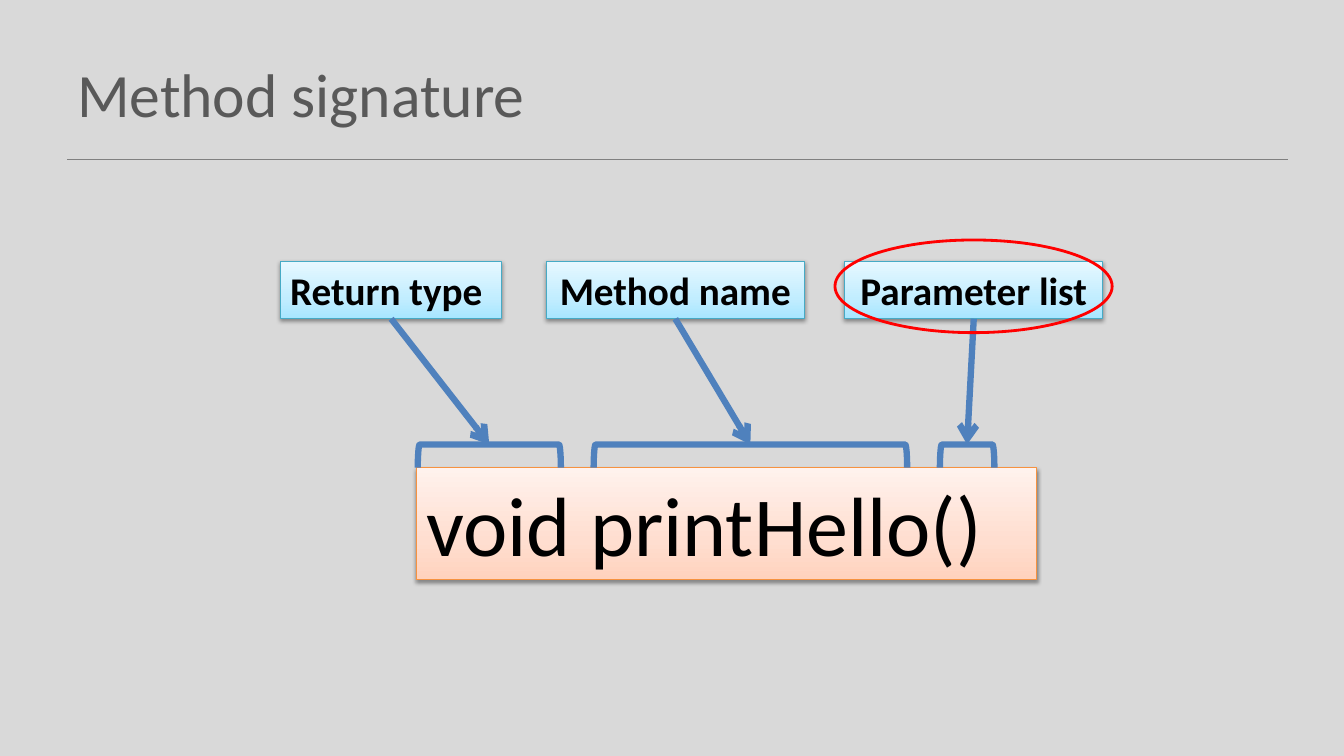
"""Build the slide that names the parts of a method signature."""
from copy import deepcopy

from pptx import Presentation
from pptx import util as u
from pptx.dml.color import RGBColor
from pptx.enum import shapes, text
from pptx.oxml import parse_xml
from pptx.oxml.ns import nsdecls, qn

FONT = "Calibri"
BLUE = "4F81BD"
CYANS = ("A7E6FF", "C1EDFF", "E7F8FF")
PEACHES = ("FFD2BD", "FFDED0", "FFF2ED")
LABELS = [
    ("Return type", 200.2, 158.4, text.PP_ALIGN.LEFT),
    ("Method name", 390.2, 184.3, text.PP_ALIGN.CENTER),
    ("Parameter list", 603.4, 184.3, text.PP_ALIGN.CENTER),
]
BRACKETS = [(349.5, 102.2), (536, 223.9), (690.8, 38.9)]


def color(value):
    """Turn a hex string into a colour."""
    return RGBColor.from_string(value)


def set_line(item, value, width):
    """Set the colour and width of an outline."""
    item.line.color.rgb = color(value)
    item.line.width = u.Pt(width)


def add_text(sp, words, size, value, bold=False, align=text.PP_ALIGN.LEFT,
             anchor=text.MSO_ANCHOR.TOP):
    """Write one run into a shape."""
    tf = sp.text_frame
    tf.word_wrap = True
    tf.vertical_anchor = anchor
    p = tf.paragraphs[0]
    p.alignment = align
    r = p.add_run()
    r.text = words
    r.font.name = FONT
    r.font.size = u.Pt(size)
    r.font.bold = bold
    r.font.color.rgb = color(value)


def add_shape(s, kind, x, y, w, h, line, width):
    """Add an unfilled, unshadowed shape with an outline."""
    sp = s.shapes.add_shape(kind, u.Pt(x), u.Pt(y), u.Pt(w), u.Pt(h))
    sp.shadow.inherit = False
    sp.fill.background()
    set_line(sp, line, width)
    return sp


def add_line(s, x1, y1, x2, y2, value, width):
    """Add a straight connector without a shadow."""
    line = s.shapes.add_connector(
        shapes.MSO_CONNECTOR.STRAIGHT, u.Pt(x1), u.Pt(y1), u.Pt(x2), u.Pt(y2))
    set_line(line, value, width)
    line._element.spPr.append(parse_xml(f'<a:effectLst {nsdecls("a")}/>'))
    return line


def add_panel(s, x, y, w, h, tones, line):
    """Add a shadowed rectangle that shades from bottom to top."""
    sp = add_shape(s, shapes.MSO_SHAPE.RECTANGLE, x, y, w, h, line, 0.75)
    sp.fill.gradient()
    sp.fill.gradient_angle = 90
    spPr = sp._element.spPr
    stops = spPr.find(qn("a:gradFill")).find(qn("a:gsLst"))
    stops.append(deepcopy(stops[0]))
    for stop, tone, position in zip(sp.fill.gradient_stops, tones, (0, 0.35, 1)):
        stop.color.rgb = color(tone)
        stop.position = position
    spPr.find(qn("a:effectLst")).append(parse_xml(
        f'<a:outerShdw {nsdecls("a")} blurRad="{u.Pt(3.1)}" dist="{u.Pt(1.6)}" '
        'dir="5400000" rotWithShape="0"><a:srgbClr val="000000">'
        '<a:alpha val="38000"/></a:srgbClr></a:outerShdw>'))
    return sp


def add_bracket(s, center, y, w, h):
    """Add a bracket that opens downwards, centred across the given point."""
    sp = add_shape(s, shapes.MSO_SHAPE.LEFT_BRACKET, center - h / 2,
                   y + h / 2 - w / 2, h, w, BLUE, 4.5)
    sp.rotation = 90


def add_arrow(s, label, x, y):
    """Point from the bottom of a label to a place."""
    arrow = add_line(s, x, y, x, y, BLUE, 4.5)
    arrow.begin_connect(label, 2)
    arrow.line._get_or_add_ln().append(
        parse_xml(f'<a:tailEnd {nsdecls("a")} type="arrow"/>'))


def add_title(s, x, y, w, h):
    """Place the heading and the rule under it."""
    add_line(s, x, y + h + 2.2, x + 872, y + h + 2.2, "808080", 1)
    sp = s.shapes.add_textbox(u.Pt(x), u.Pt(y), u.Pt(w), u.Pt(h))
    add_text(sp, "Method signature", 44, "595959",
             anchor=text.MSO_ANCHOR.MIDDLE)


def add_signature(s, x, y, w, h):
    """Place the signature with its brackets, labels and arrows."""
    sp = add_panel(s, x, y, w, h, PEACHES, "F69240")
    add_text(sp, "void printHello()", 60, "000000")
    top = y - 16.6
    for (words, left, width, align), (center, span) in zip(LABELS, BRACKETS):
        label = add_panel(s, left, y - 147.6, width, 41.2, CYANS, "46AAC5")
        add_text(label, words, 28, "000000", True, align)
        add_bracket(s, center, top, span, 16.6)
        add_arrow(s, label, center, top)
    add_shape(s, shapes.MSO_SHAPE.OVAL, left - 7, y - 162.7, width + 13.7, 66.2,
              "FF0000", 2)


def main():
    """Build and save the presentation."""
    prs = Presentation()
    prs.slide_width, prs.slide_height = u.Pt(960), u.Pt(540)
    s = prs.slides.add_slide(prs.slide_layouts[6])
    s.background.fill.solid()
    s.background.fill.fore_color.rgb = color("D9D9D9")
    add_title(s, 48, 21.6, 864, 90)
    add_signature(s, 297.4, 334.1, 442.8, 79.9)
    prs.save("out.pptx")


if __name__ == "__main__":
    main()
